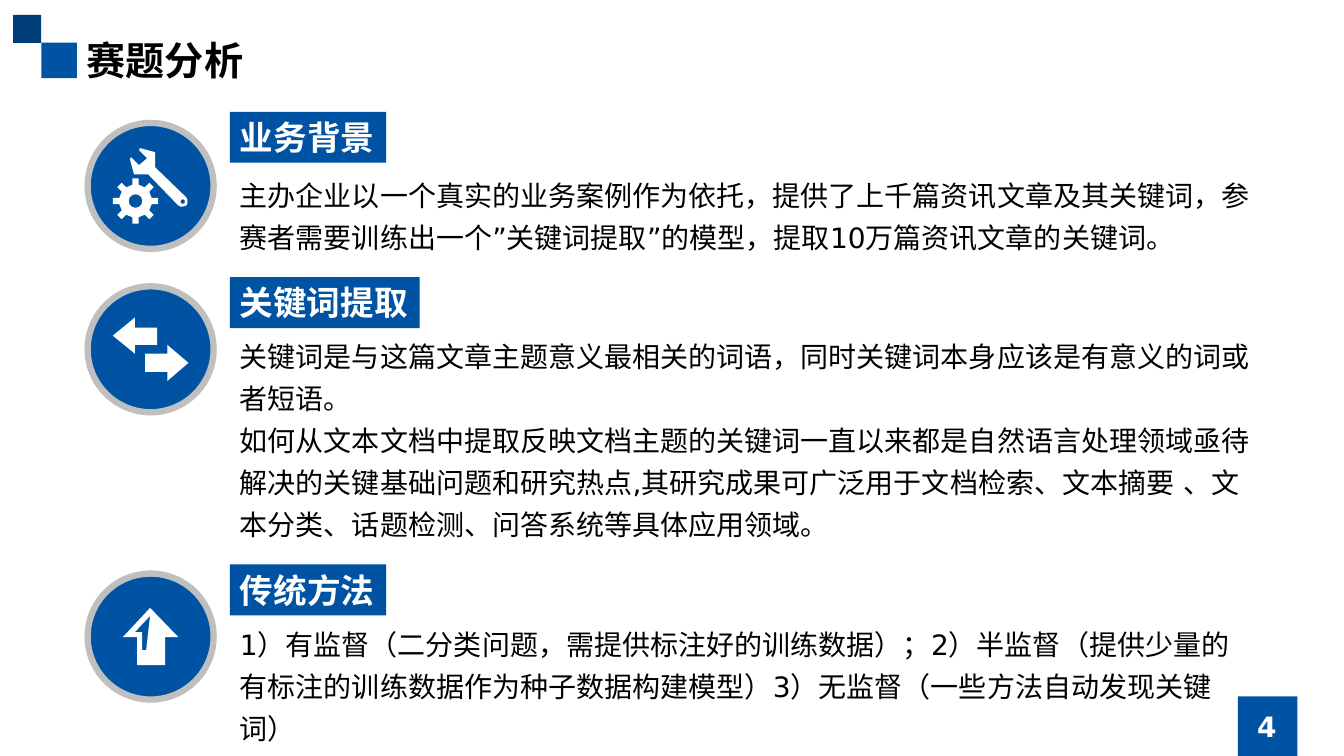
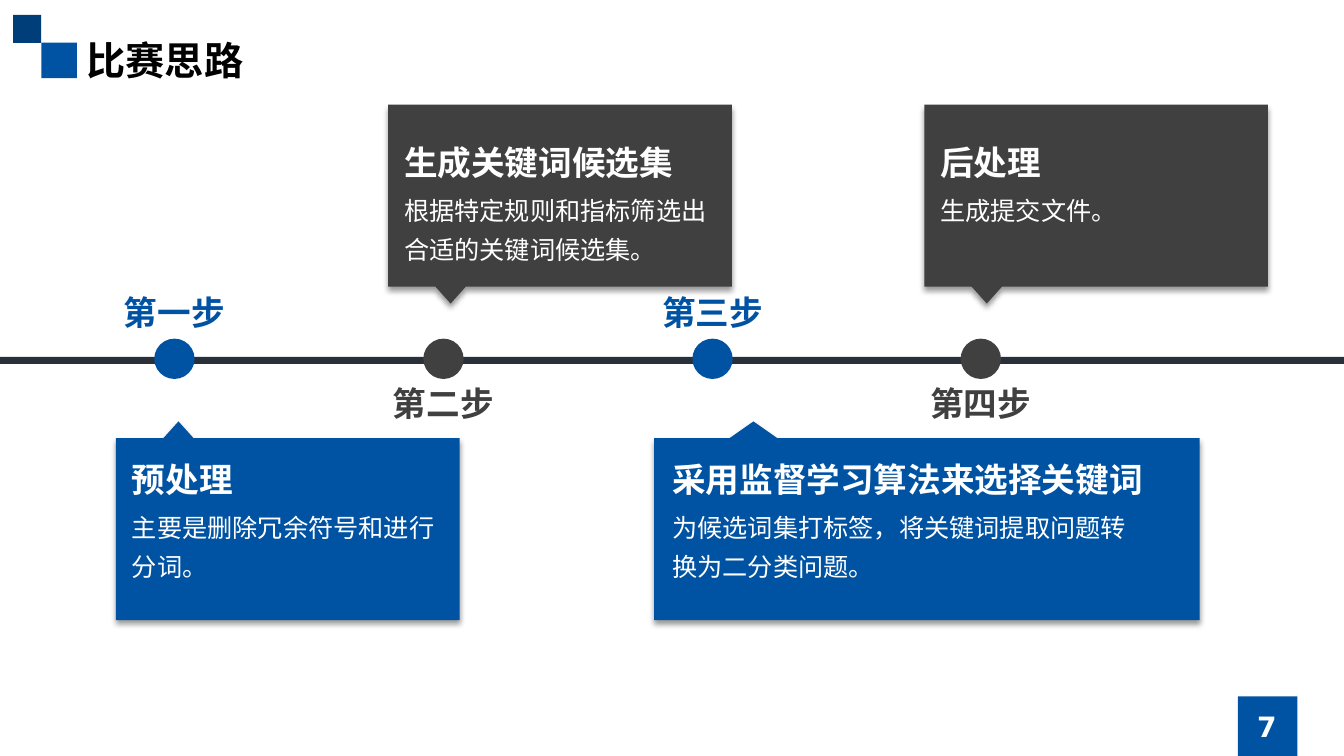
from dataclasses import dataclass
from math import cos, pi, sin

from lxml.etree import SubElement as Sub
from pptx import Presentation
from pptx.dml.color import RGBColor
from pptx.enum.shapes import MSO_SHAPE as Kind
from pptx.enum.text import MSO_ANCHOR as Anchor, PP_ALIGN as Align
from pptx.oxml.ns import qn
from pptx.util import Pt

INK = {
    "blue": "0053A3", "navy": "003E7A", "ring": "BFBFBF", "dark": "404040",
    "line": "29303A", "white": "FFFFFF", "black": "000000",
}
SANS = "DejaVu Sans"
HAN = "Noto Sans CJK SC"
Dots = list[tuple[float, float]]


@dataclass
class Topic:
    head: str
    text: str
    disc: float
    label: float
    body: float
    high: float
    icon: list[list[Dots]]


@dataclass
class Step:
    name: str
    head: str
    text: str
    color: str
    dot: float
    left: float
    wide: float
    inset: float
    span: float
    below: bool


def tint(name: str) -> RGBColor:
    return RGBColor.from_string(INK[name])


def write(frame, text: str, *, size: float, color: str = "white", font: str = SANS,
          bold: bool = False, align=Align.LEFT, anchor=Anchor.TOP,
          space: float = 1.0, wrap: bool = True) -> None:
    frame.word_wrap = wrap
    frame.vertical_anchor = anchor
    for i, line in enumerate(text.split("\n")):
        par = frame.add_paragraph() if i else frame.paragraphs[0]
        par.alignment = align
        par.line_spacing = space
        run = par.add_run()
        run.text = line
        run.font.size = Pt(size)
        run.font.bold = bold
        run.font.name = font
        run.font.color.rgb = tint(color)
        props = run.font._element
        props.set("lang", "zh-CN")
        Sub(props, qn("a:ea")).set("typeface", SANS)


def label(slide, text: str, x: float, y: float, w: float, h: float, **form) -> None:
    box = slide.shapes.add_textbox(Pt(x), Pt(y), Pt(w), Pt(h))
    write(box.text_frame, text, **form)


def paint(shape, color: str) -> None:
    shape.shadow.inherit = False
    shape.fill.solid()
    shape.fill.fore_color.rgb = tint(color)
    shape.line.fill.background()


def block(slide, kind, x: float, y: float, w: float, h: float, color: str):
    shape = slide.shapes.add_shape(kind, Pt(x), Pt(y), Pt(w), Pt(h))
    paint(shape, color)
    return shape


def trace(slide, loops: list[Dots], x: float, y: float, color: str):
    sets = [[((x + a) * 10, (y + b) * 10) for a, b in loop] for loop in loops]
    pen = slide.shapes.build_freeform(*sets[0][0], scale=Pt(1) / 10)
    for i, dots in enumerate(sets):
        if i:
            pen.move_to(*dots[0])
        pen.add_line_segments(dots[1:], close=True)
    shape = pen.convert_to_shape()
    paint(shape, color)
    return shape


def shade(shape) -> None:
    effects = shape._element.spPr.find(qn("a:effectLst"))
    drop = Sub(effects, qn("a:outerShdw"), blurRad=str(Pt(4)), dist=str(Pt(3)),
               dir="5400000", algn="t", rotWithShape="0")
    base = Sub(drop, qn("a:srgbClr"), val=INK["black"])
    Sub(base, qn("a:alpha"), val="40000")


def ring(x: float, y: float, size: float, count: int) -> Dots:
    turns = [2 * pi * i / count for i in range(count)]
    return [(x + size * cos(t), y + size * sin(t)) for t in turns]


def gear(x: float, y: float) -> Dots:
    dots = []
    for i in range(8):
        c, s = cos(i * pi / 4), sin(i * pi / 4)
        for out, side in ((11.6, -2.2), (16.2, -2.2), (16.2, 2.2), (11.6, 2.2)):
            dots.append((x + out * c - side * s, y + out * s + side * c))
    return dots


def start(title: str, page: str):
    slide = deck.slides.add_slide(base)
    write(slide.shapes.title.text_frame, title, size=28, color="black",
          font=HAN, bold=True)
    label(slide, page, 850.3, 504.7, 109.4, 28.8, size=20, bold=True,
          align=Align.CENTER, anchor=Anchor.MIDDLE)
    return slide


def brand(slide) -> None:
    marks = ((29.5, 30.5, 25.4, "blue"), (9.4, 10.6, 20, "navy"),
             (884.2, 497.4, 42.6, "blue"))
    for i, (x, y, size, color) in enumerate(marks):
        mark = block(slide, Kind.RECTANGLE, x, y, size, size, color)
        base.shapes.element.insert(2 + i, mark.element)


def show(slide, topic: Topic) -> None:
    disc = block(slide, Kind.OVAL, 62.6, topic.disc, 90, 90, "blue")
    disc.line.color.rgb = tint("ring")
    disc.line.width = Pt(4.5)
    for loops in topic.icon:
        trace(slide, loops, 62.6, topic.disc, "white")
    label(slide, topic.text, 164.2, topic.body, 740.9, topic.high,
          size=20, color="black", space=1.25)
    tag = block(slide, Kind.RECTANGLE, 164.2, topic.label,
                24 * len(topic.head) + 15.6, 36.4, "blue")
    write(tag.text_frame, topic.head, size=24, bold=True, wrap=False)


def place(slide, step: Step) -> None:
    block(slide, Kind.OVAL, step.dot, 241.9, 28.8, 28.8, step.color)
    label(slide, step.name, step.dot - 29.3, 205.2 if step.below else 270,
          87.1, 36, size=24, color=step.color, font="Arial", bold=True,
          align=Align.CENTER, wrap=False)
    top = 313 if step.below else 74.8
    near, far = (0, 130) if step.below else (130, 0)
    tip = -12 if step.below else 142
    mid, half = step.wide * 0.182, step.wide * 0.044
    card = [(mid, tip), (mid + half, near), (step.wide, near), (step.wide, far),
            (0, far), (0, near), (mid - half, near)]
    shade(trace(slide, [card], step.left, top, step.color))
    x = step.left + step.inset
    y = top + (11 if step.below else 23)
    label(slide, step.text, x, y + 31.7, step.span, 64, size=18, font=HAN, space=1.3)
    label(slide, step.head, x, y, step.span, 36, size=24, font=HAN, bold=True)


WRENCH = [
    (70.6, 53.3), (48.2, 31.7), (48.2, 20.9), (37.4, 18), (36.7, 19.4),
    (42.5, 25.2), (36.7, 30.2), (31, 24.5), (30.2, 25.9), (33.1, 36.7),
    (43.2, 36.7), (64.8, 59), (66.5, 59.8), (67.7, 59.8), (70.6, 59),
    (71.3, 57.6), (71.3, 54.7),
]
TOOLS = [[gear(34.2, 55.8), ring(34.2, 55.8, 4.8, 24)],
         [WRENCH, ring(68, 56.2, 1.6, 12)]]
SWAP = [[
    [(49.7, 41.8), (33.8, 41.8), (33.8, 48.2), (18, 35.3), (33.8, 22.3),
     (33.8, 29.5), (49.7, 29.5)],
    [(41, 61.2), (56.9, 61.2), (56.9, 67.7), (72, 54.7), (56.9, 41.8),
     (56.9, 48.2), (41, 48.2)],
]]
RISE = [[
    [(35.3, 65.5), (35.3, 45.4), (25.2, 45.4), (44.6, 24.5), (64.8, 45.4),
     (55.4, 45.4), (55.4, 65.5)],
    [(44.6, 30.2), (33.8, 41.8), (38.9, 41.8), (38.9, 54.7), (41.8, 54.7)],
]]
TOPICS = [
    Topic("业务背景",
          "主办企业以一个真实的业务案例作为依托，提供了上千篇资讯文章及其关键词，"
          "参赛者需要训练出一个”关键词提取”的模型，提取10万篇资讯文章的关键词。",
          87.8, 79.9, 118.1, 64.8, TOOLS),
    Topic("关键词提取",
          "关键词是与这篇文章主题意义最相关的词语，同时关键词本身应该是有意义的词或者短语。\n"
          "如何从文本文档中提取反映文档主题的关键词一直以来都是自然语言处理领域亟待解决的"
          "关键基础问题和研究热点,其研究成果可广泛用于文档检索、文本摘要 、文本分类、"
          "话题检测、问答系统等具体应用领域。",
          204.5, 198, 233.3, 189.4, SWAP),
    Topic("传统方法",
          "1）有监督（二分类问题，需提供标注好的训练数据）；2）半监督（提供少量的有标注的"
          "训练数据作为种子数据构建模型）3）无监督（一些方法自动发现关键词）",
          409.7, 403.2, 438.5, 67.7, RISE),
]
STEPS = [
    Step("第一步", "预处理", "主要是删除冗余符号和进行分词。",
         "blue", 110.2, 82.8, 245.5, 4.3, 236.9, True),
    Step("第二步", "生成关键词候选集", "根据特定规则和指标筛选出合适的关键词候选集。",
         "dark", 302.4, 277.2, 245.5, 4.3, 236.9, False),
    Step("第三步", "采用监督学习算法来选择关键词",
         "为候选词集打标签，将关键词提取问题转换为二分类问题。",
         "blue", 494.6, 467.3, 389.5, 5.8, 353.5, True),
    Step("第四步", "后处理", "生成提交文件。",
         "dark", 686.2, 660.2, 245.5, 4.3, 236.9, False),
]

deck = Presentation()
deck.slide_width, deck.slide_height = Pt(960), Pt(540)
base = deck.slide_layouts[5]
head = base.placeholders[0]
head.left, head.top, head.width, head.height = Pt(54.7), Pt(22.3), Pt(850), Pt(41)

first = start("赛题分析", "4")
brand(first)
for topic in TOPICS:
    show(first, topic)

second = start("比赛思路", "7")
block(second, Kind.RECTANGLE, 0, 254.9, 960, 5, "line")
for step in STEPS:
    place(second, step)

deck.save("out.pptx")
